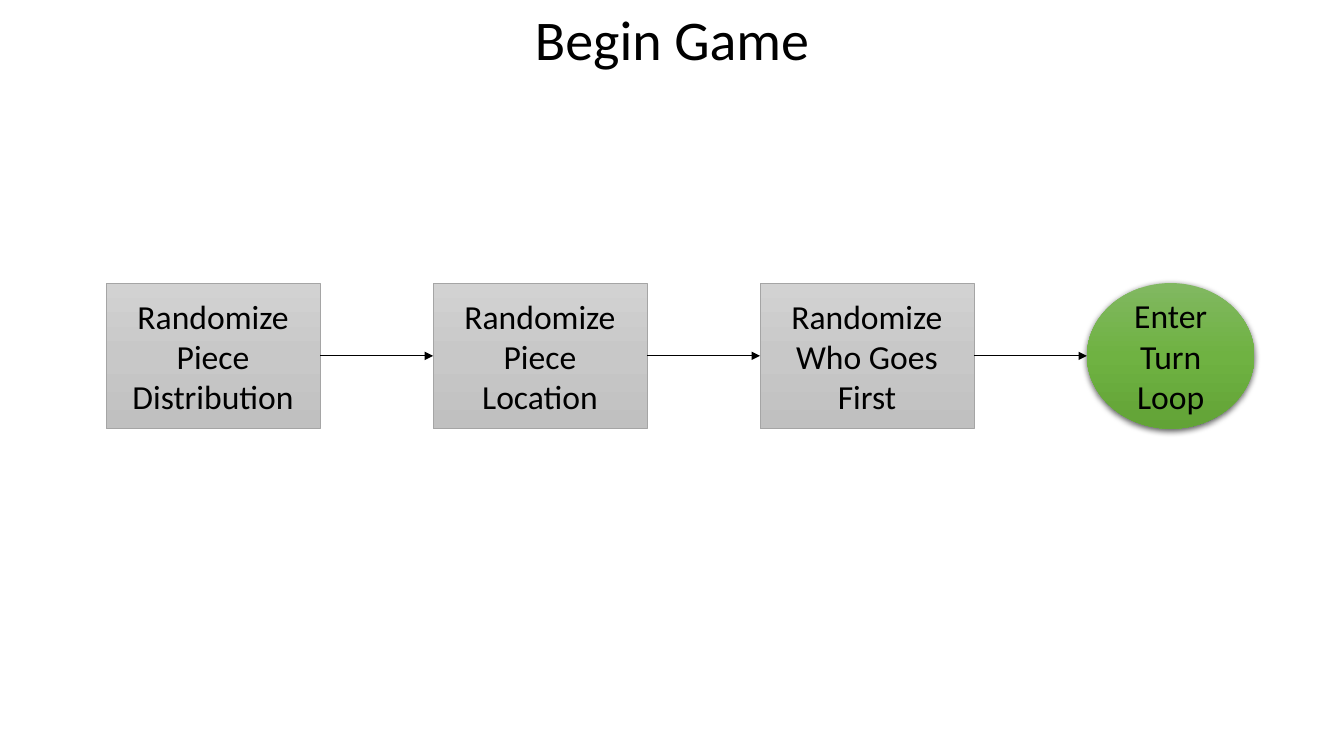
import copy
from dataclasses import dataclass

import pptx
import pptx.dml.color
import pptx.enum.shapes
import pptx.enum.text
import pptx.oxml
import pptx.oxml.ns
import pptx.util

Pt = pptx.util.Pt
SHAPE = pptx.enum.shapes.MSO_SHAPE
ANCHOR = pptx.enum.text.MSO_ANCHOR


@dataclass(frozen=True)
class Theme:
    font: str = "Calibri"
    title_size: float = 40
    step_size: float = 24
    ink: str = "000000"
    step_fill: tuple = ("D2D2D2", "C8C8C8", "C0C0C0")
    step_edge: str = "A5A5A5"
    loop_fill: tuple = ("81B861", "6FB242", "62A336")
    hairline: float = 0.5


THEME = Theme()
STEPS = ("Randomize Piece Distribution", "Randomize Piece Location",
         "Randomize Who Goes First")


def rgb(value):
    return pptx.dml.color.RGBColor.from_string(value)


def write(shape, text, size, anchor=ANCHOR.MIDDLE, inset=(7.2, 3.6)):
    """Put centred text in a shape; inset is (horizontal, vertical)."""
    frame = shape.text_frame
    frame.word_wrap = True
    frame.vertical_anchor = anchor
    frame.margin_left = frame.margin_right = Pt(inset[0])
    frame.margin_top = frame.margin_bottom = Pt(inset[1])
    paragraph = frame.paragraphs[0]
    paragraph.alignment = pptx.enum.text.PP_ALIGN.CENTER
    run = paragraph.add_run()
    run.text = text
    run.font.name = THEME.font
    run.font.size = Pt(size)
    run.font.color.rgb = rgb(THEME.ink)


def fill_downward(shape, colours):
    """Fill with evenly spaced gradient stops from top to bottom."""
    fill = shape.fill
    fill.gradient()
    fill.gradient_angle = 270
    stops = shape._element.spPr.find(".//" + pptx.oxml.ns.qn("a:gsLst"))
    while len(stops) < len(colours):
        stops.append(copy.deepcopy(stops[-1]))
    for index, (stop, colour) in enumerate(zip(fill.gradient_stops, colours)):
        stop.position = index / (len(colours) - 1)
        stop.color.rgb = rgb(colour)


def add_node(slide, kind, box, text, colours, inset=(7.2, 3.6)):
    node = slide.shapes.add_shape(kind, *map(Pt, box))
    node.shadow.inherit = False
    fill_downward(node, colours)
    write(node, text, THEME.step_size, inset=inset)
    return node


def add_step(slide, box, text):
    step = add_node(slide, SHAPE.FLOWCHART_PROCESS, box, text,
                    THEME.step_fill, inset=(16.56, 7.92))
    step.line.color.rgb = rgb(THEME.step_edge)
    step.line.width = Pt(THEME.hairline)
    return step


def add_loop(slide, box, text):
    loop = add_node(slide, SHAPE.FLOWCHART_CONNECTOR, box, text, THEME.loop_fill)
    loop.line.fill.background()
    # Soft shadow just below the circle
    effects = loop._element.spPr.find(pptx.oxml.ns.qn("a:effectLst"))
    effects.append(pptx.oxml.parse_xml(
        f'<a:outerShdw {pptx.oxml.ns.nsdecls("a")} blurRad="{Pt(4.5)}" '
        f'dist="{Pt(1.5)}" dir="5400000" algn="ctr" rotWithShape="0">'
        f'<a:srgbClr val="{THEME.ink}"><a:alpha val="63000"/></a:srgbClr>'
        '</a:outerShdw>'))
    return loop


def add_arrow(slide, source, target):
    middle = source.top + source.height // 2
    arrow = slide.shapes.add_connector(
        pptx.enum.shapes.MSO_CONNECTOR.STRAIGHT,
        source.left + source.width, middle, target.left, middle)
    arrow.begin_connect(source, 3)
    if target.auto_shape_type == SHAPE.FLOWCHART_PROCESS:
        arrow.end_connect(target, 1)
    arrow.line.color.rgb = rgb(THEME.ink)
    arrow.line.width = Pt(THEME.hairline)
    nsdecls = pptx.oxml.ns.nsdecls("a")
    arrow.line._get_or_add_ln().append(
        pptx.oxml.parse_xml(f'<a:tailEnd {nsdecls} type="triangle"/>'))
    arrow._element.spPr.append(pptx.oxml.parse_xml(f'<a:effectLst {nsdecls}/>'))


def add_title(slide, box, text):
    title = slide.shapes.add_textbox(*map(Pt, box))
    write(title, text, THEME.title_size, anchor=ANCHOR.TOP)
    title.text_frame.auto_size = pptx.enum.text.MSO_AUTO_SIZE.SHAPE_TO_FIT_TEXT


def add_flow(slide, box):
    """Row of steps ending in the turn loop, with equal gaps."""
    left, top, width, height = box
    step_width, loop_width = 152.8, 119.6
    pitch = (width - loop_width) / len(STEPS)
    nodes = [add_step(slide, (left + i * pitch, top, step_width, height), text)
             for i, text in enumerate(STEPS)]
    nodes.append(add_loop(
        slide, (left + width - loop_width, top, loop_width, height),
        "Enter Turn Loop"))
    for source, target in zip(nodes, nodes[1:]):
        add_arrow(slide, source, target)


def main():
    deck = pptx.Presentation()
    deck.slide_width, deck.slide_height = Pt(960), Pt(540)
    slide = deck.slides.add_slide(deck.slide_layouts[6])
    add_title(slide, (0, 0, 960, 55.7), "Begin Game")
    add_flow(slide, (75.8, 202.2, 820.2, 104))
    deck.save("out.pptx")


if __name__ == "__main__":
    main()
